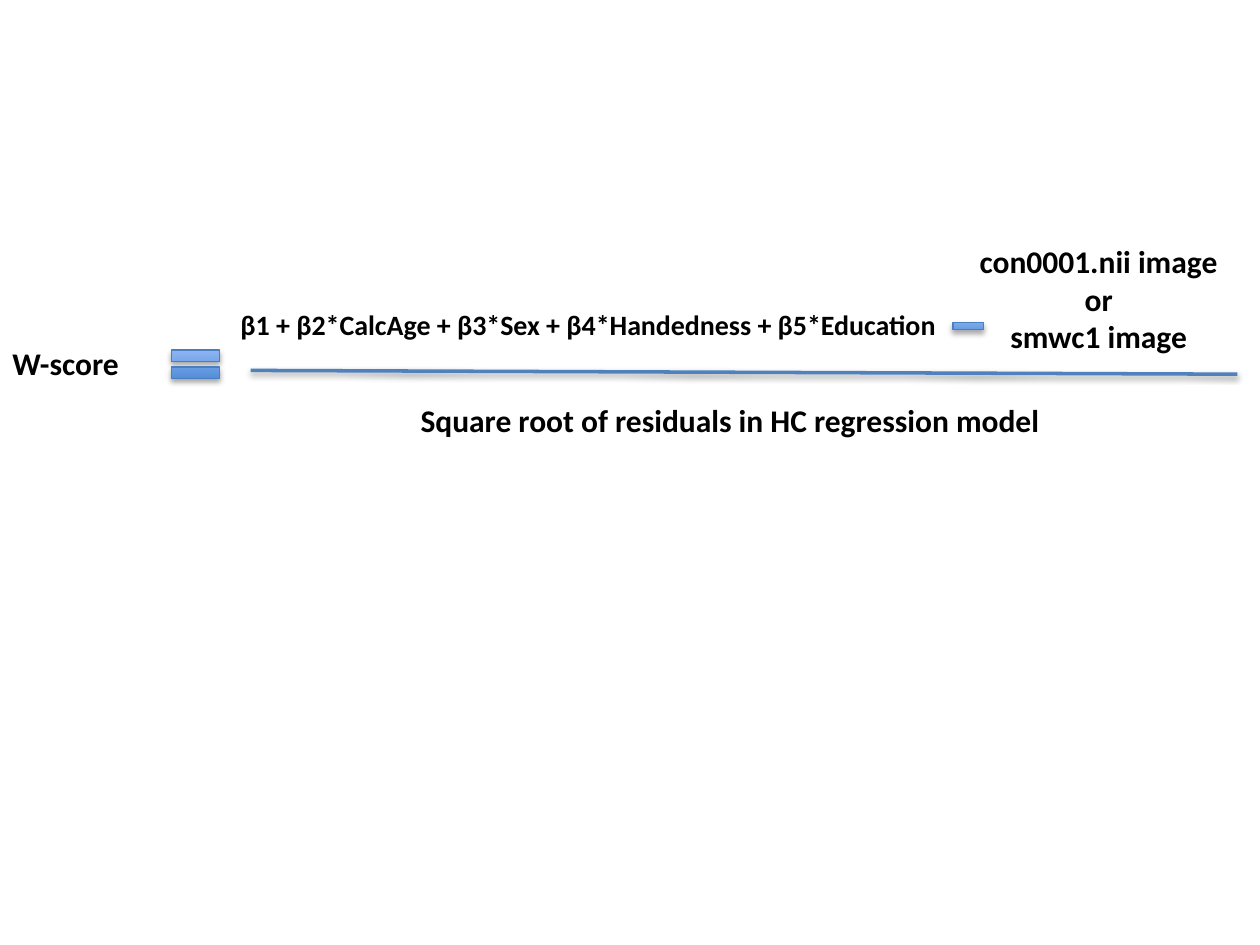
"""Build a slide that shows the W-score formula as a fraction."""
from dataclasses import dataclass

from lxml import etree
from pptx import Presentation
from pptx.dml.color import RGBColor
from pptx.enum.shapes import MSO_CONNECTOR, MSO_SHAPE
from pptx.enum.text import MSO_AUTO_SIZE, PP_ALIGN
from pptx.oxml.ns import qn
from pptx.util import Inches, Pt

LEFT = PP_ALIGN.LEFT
CENTER = PP_ALIGN.CENTER
EQUALS = MSO_SHAPE.MATH_EQUAL
MINUS = MSO_SHAPE.MATH_MINUS
STRAIGHT = MSO_CONNECTOR.STRAIGHT
FIT_SHAPE = MSO_AUTO_SIZE.SHAPE_TO_FIT_TEXT


@dataclass(frozen=True)
class Theme:
    font: str = "Calibri"
    text: RGBColor = RGBColor(0x00, 0x00, 0x00)
    bar: RGBColor = RGBColor(0x4F, 0x81, 0xBD)
    outline: RGBColor = RGBColor(0x4B, 0x7E, 0xBC)
    gradient: tuple = (RGBColor(0x3F, 0x80, 0xCE), RGBColor(0xA4, 0xC4, 0xFF))
    shadow: str = "000000"
    label_size: int = 18
    formula_size: int = 16
    bar_width: float = 2
    outline_width: float = 0.75


@dataclass(frozen=True)
class Label:
    lines: tuple
    left: float
    top: float
    width: float
    height: float
    size: int
    align: PP_ALIGN = LEFT


@dataclass(frozen=True)
class Operator:
    kind: MSO_SHAPE
    left: float
    top: float
    width: float
    height: float


THEME = Theme()
LABELS = (
    Label(("W-score",), 0, 2.68, 1.09, 0.4, THEME.label_size),
    Label(("β1 + β2*CalcAge + β3*Sex + β4*Handedness + β5*Education",),
          1.81, 2.39, 6.62, 0.37, THEME.formula_size),
    Label(("Square root of residuals in HC regression model",),
          3.24, 3.13, 5.43, 0.4, THEME.label_size),
    Label(("con0001.nii image", "or", "smwc1 image"),
          7.62, 1.87, 2.2, 1.01, THEME.label_size, CENTER),
)
OPERATORS = (
    Operator(EQUALS, 1.29, 2.7, 0.52, 0.38),
    Operator(MINUS, 7.52, 2.47, 0.33, 0.24),
)


def add_shadow(shape, distance: float, opacity: int) -> None:
    effects = etree.SubElement(shape._element.spPr, qn("a:effectLst"))
    shadow = etree.SubElement(
        effects, qn("a:outerShdw"), blurRad=str(Pt(3.1)), dist=str(Pt(distance)),
        dir="5400000", rotWithShape="0")
    color = etree.SubElement(shadow, qn("a:srgbClr"), val=THEME.shadow)
    etree.SubElement(color, qn("a:alpha"), val=str(opacity * 1000))


def add_label(page, label: Label) -> None:
    box = page.shapes.add_textbox(Inches(label.left), Inches(label.top),
                                  Inches(label.width), Inches(label.height))
    frame = box.text_frame
    frame.word_wrap = True
    frame.auto_size = FIT_SHAPE
    frame.text = "\n".join(label.lines)
    for para in frame.paragraphs:
        para.alignment = label.align
        para.font.name = THEME.font
        para.font.size = Pt(label.size)
        para.font.bold = True
        para.font.color.rgb = THEME.text


def add_operator(page, operator: Operator) -> None:
    shape = page.shapes.add_shape(
        operator.kind, Inches(operator.left), Inches(operator.top),
        Inches(operator.width), Inches(operator.height))
    shape.fill.gradient()
    shape.fill.gradient_angle = 90
    for stop, position, color in zip(shape.fill.gradient_stops, (0, 1), THEME.gradient):
        stop.position = position
        stop.color.rgb = color
    shape.line.color.rgb = THEME.outline
    shape.line.width = Pt(THEME.outline_width)
    add_shadow(shape, 1.8, 35)


def add_fraction_bar(page) -> None:
    bar = page.shapes.add_connector(STRAIGHT, Inches(1.99), Inches(2.94),
                                    Inches(9.82), Inches(2.97))
    bar.line.color.rgb = THEME.bar
    bar.line.width = Pt(THEME.bar_width)
    add_shadow(bar, 1.6, 38)


def main() -> None:
    deck = Presentation()
    deck.slide_width = Inches(10)
    deck.slide_height = Inches(7.5)
    page = deck.slides.add_slide(deck.slide_layouts[6])
    add_fraction_bar(page)
    for label in LABELS:
        add_label(page, label)
    for operator in OPERATORS:
        add_operator(page, operator)
    deck.save("out.pptx")


main()
